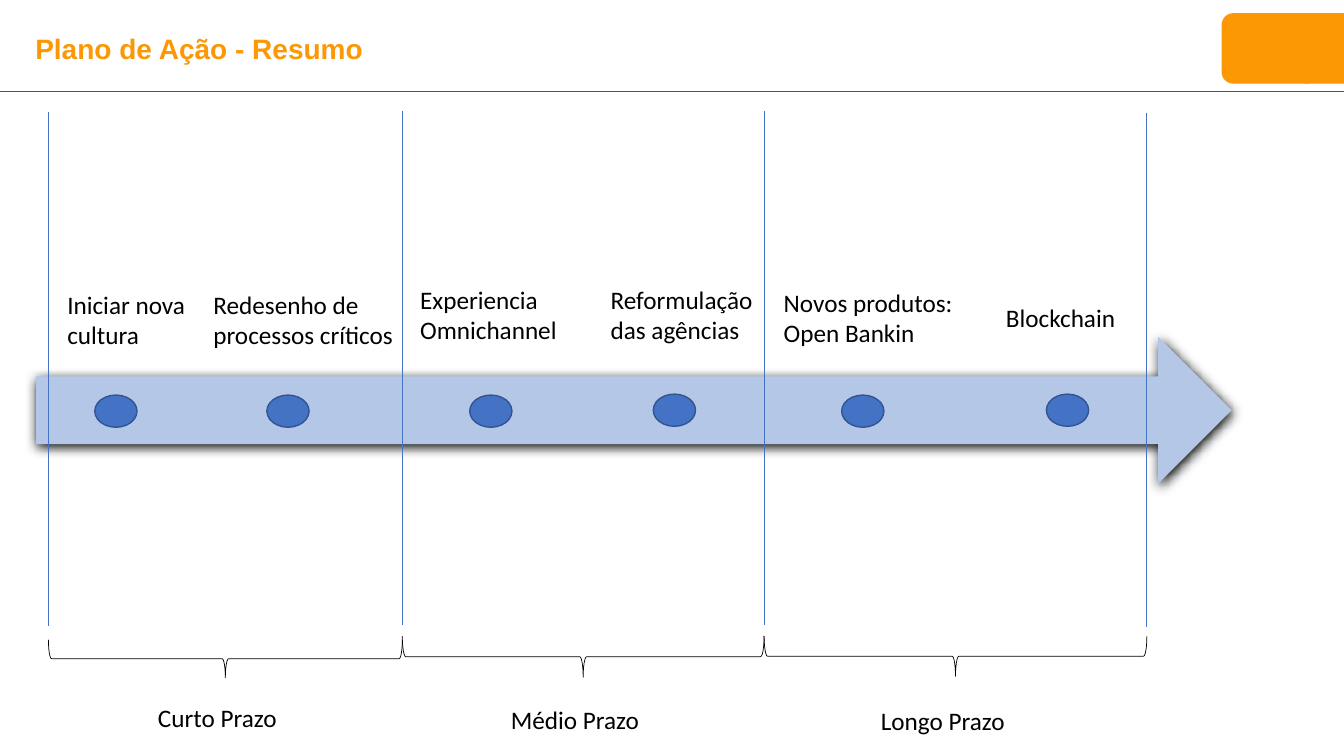
from dataclasses import dataclass

from lxml import etree
from pptx import Presentation
from pptx import util as u
from pptx.dml.color import RGBColor
from pptx.enum import shapes, text
from pptx.oxml import ns

MSO = shapes.MSO_SHAPE


@dataclass(frozen=True)
class Theme:
    """Colours, fonts and type sizes of the slide."""

    accent: str = "FC9804"
    band: str = "B4C7E7"
    blue: str = "4472C4"
    dot_edge: str = "325491"
    rule: str = "2F5597"
    ink: str = "000000"
    head_font: str = "Arial"
    body_font: str = "Calibri"
    head_size: float = 20
    body_size: float = 18
    hairline: float = 0.5


class Deck:
    """Draws styled elements on the current slide, in points."""

    def __init__(self, prs, theme):
        """Open a title-only slide."""
        self.t = theme
        self.s = prs.slides.add_slide(prs.slide_layouts[5])

    def fill_text(self, sp, content, frame, font, color):
        """Fill a text frame and format its run."""
        tf = sp.text_frame
        for name, value in frame.items():
            setattr(tf, name, value)
        p = tf.paragraphs[0]
        p.alignment = text.PP_ALIGN.LEFT
        r = p.add_run()
        r.text = content
        for name, value in font.items():
            setattr(r.font, name, value)
        r.font.color.rgb = RGBColor.from_string(color)

    def title(self, content, x, y, w, h):
        """Place and format the title placeholder."""
        sp = self.s.shapes.title
        for name, value in dict(left=x, top=y, width=w, height=h).items():
            setattr(sp, name, u.Pt(value))
        frame = dict(word_wrap=True, auto_size=text.MSO_AUTO_SIZE.NONE,
                     vertical_anchor=text.MSO_ANCHOR.TOP)
        font = dict(name=self.t.head_font, size=u.Pt(self.t.head_size), bold=True)
        self.fill_text(sp, content, frame, font, self.t.accent)

    def label(self, content, x, y, w, h, wrap=True):
        """Add a body text box."""
        sp = self.s.shapes.add_textbox(*map(u.Pt, (x, y, w, h)))
        frame = dict(word_wrap=wrap, auto_size=text.MSO_AUTO_SIZE.SHAPE_TO_FIT_TEXT)
        font = dict(name=self.t.body_font, size=u.Pt(self.t.body_size))
        self.fill_text(sp, content, frame, font, self.t.ink)

    def shape(self, kind, x, y, w, h, fill=None, line=None, weight=1):
        """Add a preset shape without shadow."""
        sp = self.s.shapes.add_shape(kind, *map(u.Pt, (x, y, w, h)))
        sp.shadow.inherit = False
        if fill:
            sp.fill.solid()
            sp.fill.fore_color.rgb = RGBColor.from_string(fill)
        else:
            sp.fill.background()
        if line:
            sp.line.color.rgb = RGBColor.from_string(line)
            sp.line.width = u.Pt(weight)
        else:
            sp.line.fill.background()
        return sp

    def arrow(self, x, y, w, h):
        """Add the timeline arrow with its soft shadow."""
        sp = self.shape(MSO.RIGHT_ARROW, x, y, w, h, self.t.band)
        sp.adjustments[0] = 0.46
        effects = sp._element.spPr.find(ns.qn("a:effectLst"))
        shadow = etree.SubElement(
            effects, ns.qn("a:outerShdw"), blurRad=str(u.Pt(8.5)),
            dist=str(u.Pt(1)), dir="5400000", algn="t", rotWithShape="0")
        etree.SubElement(shadow, ns.qn("a:srgbClr"), val=self.t.ink)

    def brace(self, x, y, w, h):
        """Add a brace pointing down across the given area."""
        sp = self.shape(MSO.LEFT_BRACE, x + (w - h) / 2, y + (h - w) / 2, h, w,
                        line=self.t.ink, weight=self.t.hairline)
        sp.rotation = 270

    def line(self, x1, y1, x2, y2, color):
        """Add a thin straight line."""
        sp = self.s.shapes.add_connector(
            shapes.MSO_CONNECTOR.STRAIGHT, *map(u.Pt, (x1, y1, x2, y2)))
        sp.line.color.rgb = RGBColor.from_string(color)
        sp.line.width = u.Pt(self.t.hairline)
        etree.SubElement(sp._element.spPr, ns.qn("a:effectLst"))


def main():
    """Build the action plan timeline."""
    prs = Presentation()
    prs.slide_width, prs.slide_height = u.Pt(960), u.Pt(540)
    t = Theme()
    d = Deck(prs, t)

    d.arrow(25.9, 240.5, 853.9, 105.1)
    d.shape(MSO.ROUNDED_RECTANGLE, 872.6, 9.4, 69.1, 50.4, t.accent)
    d.line(960, 65.5, 0, 65.5, t.rule)
    d.shape(MSO.RECTANGLE, 931.7, 9.4, 28.3, 50.4, t.accent)
    d.title("Plano de Ação - Resumo", 18, 18.7, 744.5, 31.7)

    bounds = [(34.6, 79.7), (287.4, 79.2), (545.8, 79), (819.2, 80.5)]
    for x, top in bounds:
        d.line(x, top, x, top + 367.5, t.blue)

    periods = [
        ("Curto Prazo", 105.8, 498.2, 100, 456.8, 27.4),
        ("Médio Prazo", 357.8, 499.7, 107.3, 454.3, 29.5),
        ("Longo Prazo", 622.1, 500.4, 103.7, 454.3, 28.8),
    ]
    for (name, x, y, w, top, h), (left, _), (right, _) in zip(periods, bounds, bounds[1:]):
        d.brace(left, top, right - left, h)
        d.label(name, x, y, w, 29, wrap=False)

    milestones = [
        ("Iniciar nova cultura", 41, 203, 140.4, 67.7, 282.2),
        ("Redesenho de processos críticos", 145.4, 203, 146.9, 190.6, 282.2),
        ("Experiencia Omnichannel", 293, 199.4, 140.4, 335.5, 282.2),
        ("Reformulação das agências", 429.1, 199.4, 140.4, 466.6, 281.5),
        ("Novos produtos: Open Bankin", 552.7, 201.6, 140.4, 601.2, 282.2),
        ("Blockchain", 711.4, 212.4, 140.4, 747.4, 281.5),
    ]
    for name, x, y, w, dot_x, dot_y in milestones:
        d.label(name, x, y, w, 29 if name == "Blockchain" else 51)
        d.shape(MSO.OVAL, dot_x, dot_y, 30.2, 23, t.blue, t.dot_edge)

    prs.save("out.pptx")


if __name__ == "__main__":
    main()
